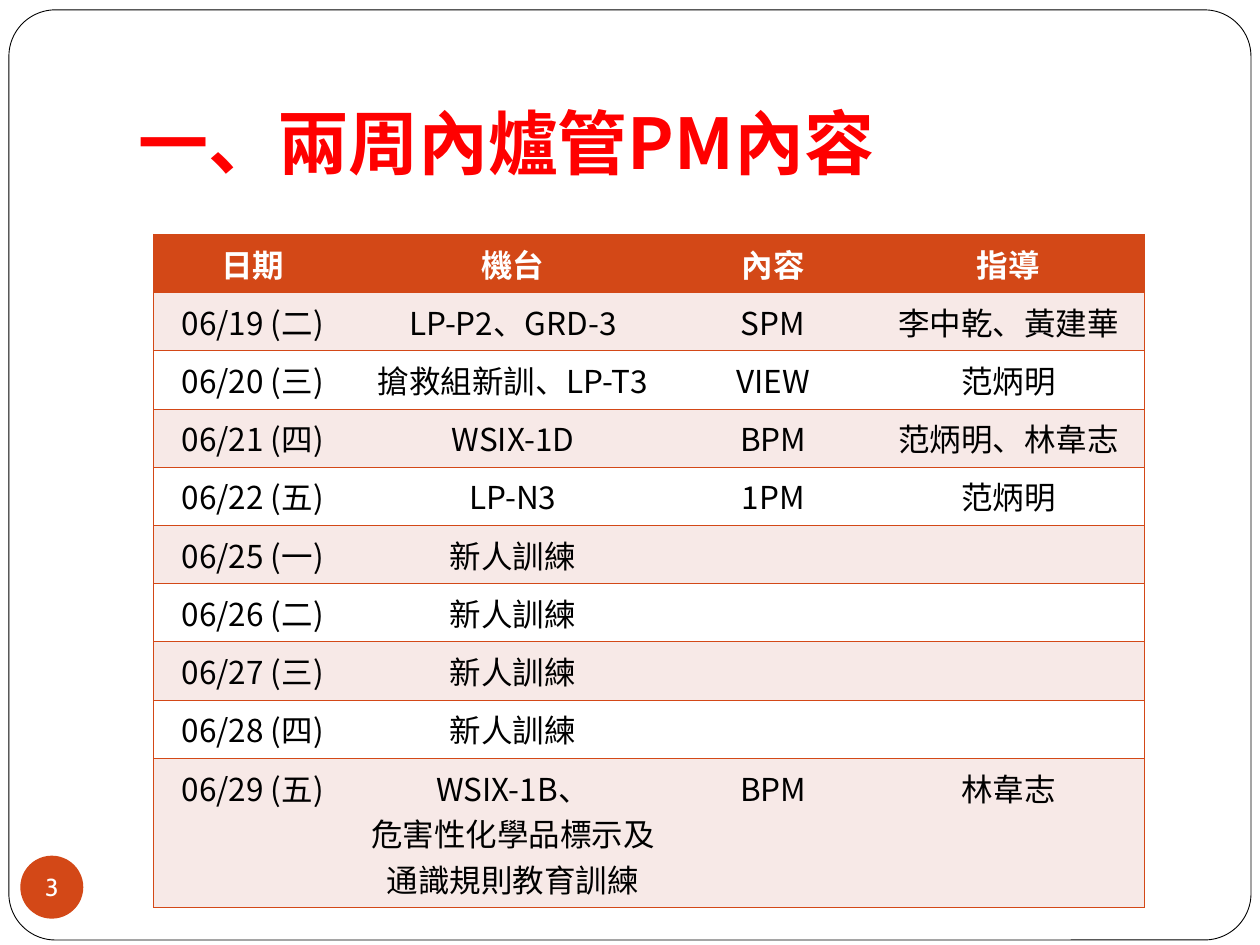
from typing import NamedTuple

from lxml import etree
from pptx import Presentation
from pptx.dml.color import RGBColor
from pptx.enum.shapes import MSO_SHAPE
from pptx.enum.text import MSO_ANCHOR, MSO_AUTO_SIZE, PP_ALIGN
from pptx.oxml.ns import qn
from pptx.util import Cm, Pt

ROUND, OVAL = MSO_SHAPE.ROUNDED_RECTANGLE, MSO_SHAPE.OVAL
LEFT, MID = PP_ALIGN.LEFT, PP_ALIGN.CENTER
BASE, HALF = MSO_ANCHOR.BOTTOM, MSO_ANCHOR.MIDDLE
FIXED = MSO_AUTO_SIZE.NONE

RUST = RGBColor(0xD3, 0x48, 0x17)
BLUSH = RGBColor(0xF7, 0xE9, 0xE7)
WHITE = RGBColor(0xFF, 0xFF, 0xFF)
BLACK = RGBColor(0, 0, 0)
RED = RGBColor(0xFF, 0, 0)

SANS, CABIN = "Noto Sans CJK SC", "Cabin"
HEAD = {"size": Pt(18), "name": SANS, "bold": True}
BODY = {"size": Pt(18), "name": SANS, "bold": False}
TITLE = {"size": Pt(40), "name": SANS, "bold": True}
BADGE = {"size": Pt(14), "name": CABIN, "bold": False}


class Box(NamedTuple):
    left: float
    top: float
    width: float
    height: float

    def cm(self) -> list:
        return [Cm(side) for side in self]


class Duty(NamedTuple):
    date: str
    tool: str
    task: str = ""
    guide: str = ""


DUTIES = [
    Duty("日期", "機台", "內容", "指導"),
    Duty("06/19 (二)", "LP-P2、GRD-3", "SPM", "李中乾、黃建華"),
    Duty("06/20 (三)", "搶救組新訓、LP-T3", "VIEW", "范炳明"),
    Duty("06/21 (四)", "WSIX-1D", "BPM", "范炳明、林韋志"),
    Duty("06/22 (五)", "LP-N3", "1PM", "范炳明"),
    Duty("06/25 (一)", "新人訓練"),
    Duty("06/26 (二)", "新人訓練"),
    Duty("06/27 (三)", "新人訓練"),
    Duty("06/28 (四)", "新人訓練"),
    Duty("06/29 (五)", "WSIX-1B、\n危害性化學品標示及通識規則教育訓練", "BPM", "林韋志"),
]
WIDTHS = [3.99, 6.5, 3.99, 5.49]
ROW, LAST = 1.03, 2.54


def write(frame, text: str, form: dict, color: RGBColor, align) -> None:
    frame.text = text
    for para in frame.paragraphs:
        para.alignment = align
        for run in para.runs:
            for key, value in form.items():
                setattr(run.font, key, value)
            run.font.color.rgb = color
            east = etree.SubElement(run.font._element, qn("a:ea"))
            east.set("typeface", form["name"])


def inset(frame, *sides: float) -> None:
    names = ("margin_left", "margin_top", "margin_right", "margin_bottom")
    for name, side in zip(names, sides):
        setattr(frame, name, Cm(side))


def edge(cell, sides: str) -> None:
    """Rule the named sides of a cell and clear the others."""
    props = cell._tc.get_or_add_tcPr()
    for side in "LRTB":
        line = etree.SubElement(props, qn(f"a:ln{side}"), w=str(Pt(0.45)))
        if side in sides:
            fill = etree.SubElement(line, qn("a:solidFill"))
            etree.SubElement(fill, qn("a:srgbClr"), val=str(RUST))
        else:
            etree.SubElement(line, qn("a:noFill"))


def shape(slide, kind, box: Box, fill: RGBColor):
    item = slide.shapes.add_shape(kind, *box.cm())
    item.shadow.inherit = False
    item.fill.solid()
    item.fill.fore_color.rgb = fill
    return item


def grid(slide, box: Box) -> None:
    table = slide.shapes.add_table(len(DUTIES), len(WIDTHS), *box.cm()).table
    for col, width in zip(table.columns, WIDTHS):
        col.width = Cm(width)
    for r, duty in enumerate(DUTIES):
        table.rows[r].height = Cm(LAST if r == len(DUTIES) - 1 else ROW)
        back = RUST if r == 0 else BLUSH if r % 2 else WHITE
        form, ink = (BODY, BLACK) if r else (HEAD, WHITE)
        for c, text in enumerate(duty):
            cell = table.cell(r, c)
            edge(cell, "TB" + {0: "L", len(duty) - 1: "R"}.get(c, ""))
            cell.fill.solid()
            cell.fill.fore_color.rgb = back
            if text:
                write(cell.text_frame, text, form, ink, MID)


def main() -> None:
    deck = Presentation()
    deck.slide_width, deck.slide_height = Cm(25.4), Cm(19.05)
    slide = deck.slides.add_slide(deck.slide_layouts[5])

    # Title
    title = slide.shapes.title
    title.left, title.top, title.width, title.height = Box(2.54, 0.76, 21.59, 3.18).cm()
    text = title.text_frame
    text.auto_size, text.vertical_anchor = FIXED, BASE
    inset(text, 0.25, 0.13, 0.25, 0.25)
    write(text, "一、兩周內爐管PM內容", TITLE, RED, LEFT)

    # Page frame, behind the title
    frame = shape(slide, ROUND, Box(0.18, 0.2, 25.04, 18.75), WHITE)
    frame.adjustments[0] = 0.05
    frame.line.color.rgb = BLACK
    frame.line.width = Pt(0.5)
    title._element.addprevious(frame._element)

    # Schedule
    grid(slide, Box(3.1, 4.72, sum(WIDTHS), ROW * (len(DUTIES) - 1) + LAST))

    # Page number
    badge = shape(slide, OVAL, Box(0.41, 17.25, 1.27, 1.27), RUST)
    badge.line.fill.background()
    text = badge.text_frame
    text.word_wrap, text.vertical_anchor = False, HALF
    inset(text, 0, 0, 0, 0)
    write(text, "3", BADGE, WHITE, MID)

    deck.save("out.pptx")


if __name__ == "__main__":
    main()
